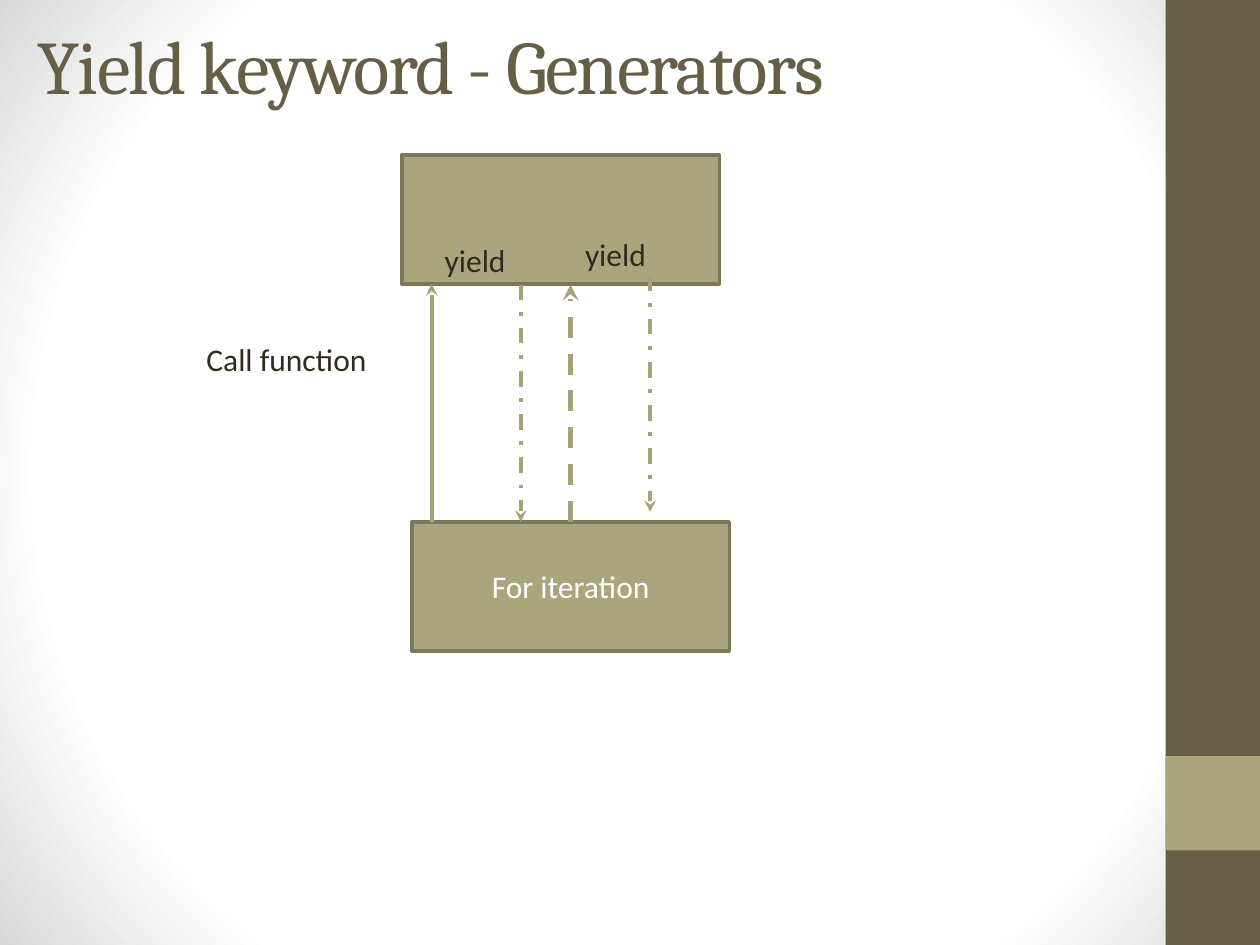
from dataclasses import dataclass

from lxml import etree
from pptx import Presentation
from pptx import util as u
from pptx.dml.color import RGBColor
from pptx.enum import dml, shapes, text
from pptx.oxml import parse_xml
from pptx.oxml.ns import nsdecls, qn

DARK, OLIVE, EDGE = "675E47", "A9A57C", "7B785A"
ARROW, INK, WHITE, GREY = "A6A177", "2F2B20", "FFFFFF", "D8D8D8"
DASH, DASH_DOT = dml.MSO_LINE.DASH, dml.MSO_LINE.DASH_DOT


def color(value):
    return RGBColor.from_string(value)


def apply(target, values):
    for name, value in values.items():
        setattr(target, name, value)


@dataclass
class Drawing:
    slide: object
    body_font: str = "Calibri"
    title_font: str = "Cambria"
    body_size: float = 18

    def background(self, stops):
        """Radial gradient from (percent, colour) stops."""
        marks = "".join(f'<a:gs pos="{percent * 1000}"><a:srgbClr val="{color(value)}"/></a:gs>'
                        for percent, value in stops)
        self.slide.element.cSld.insert(0, parse_xml(
            f'<p:bg {nsdecls("p", "a")}><p:bgPr><a:gradFill rotWithShape="1">'
            f'<a:gsLst>{marks}</a:gsLst><a:path path="circle">'
            '<a:fillToRect l="50000" t="50000" r="50000" b="50000"/></a:path>'
            '</a:gradFill><a:effectLst/></p:bgPr></p:bg>'))

    def add_text(self, shape, words, ink, anchor, align, **font_format):
        frame = shape.text_frame
        apply(frame, {"word_wrap": True, "vertical_anchor": anchor})
        paragraph = frame.paragraphs[0]
        paragraph.alignment = align
        run = paragraph.add_run()
        run.text = words
        apply(run.font, {"name": self.body_font, "size": u.Pt(self.body_size), **font_format})
        run.font.color.rgb = color(ink)
        return run

    def box(self, left, top, width, height, fill, edge=None, words=None):
        shape = self.slide.shapes.add_shape(
            shapes.MSO_SHAPE.RECTANGLE, *map(u.Pt, (left, top, width, height)))
        shape.shadow.inherit = False
        shape.fill.solid()
        shape.fill.fore_color.rgb = color(fill)
        if edge:
            shape.line.color.rgb = color(edge)
            shape.line.width = u.Pt(2)
        else:
            shape.line.fill.background()
        if words:
            self.add_text(shape, words, WHITE, text.MSO_ANCHOR.MIDDLE, text.PP_ALIGN.CENTER)

    def text_box(self, left, top, width, height):
        return self.slide.shapes.add_textbox(*map(u.Pt, (left, top, width, height)))

    def title(self, left, top, width, height, words):
        run = self.add_text(self.text_box(left, top, width, height), words, DARK,
                            text.MSO_ANCHOR.BOTTOM, text.PP_ALIGN.LEFT,
                            name=self.title_font, size=u.Pt(43.2))
        # Tighten the letters by one point
        run._r.get_or_add_rPr().set("spc", "-100")

    def label(self, left, top, width, words):
        self.add_text(self.text_box(left, top, width, 29), words, INK,
                      text.MSO_ANCHOR.TOP, text.PP_ALIGN.LEFT)

    def arrow(self, x, start, end, width=2.25, dash=None):
        """Vertical arrow with its head at the end."""
        connector = self.slide.shapes.add_connector(
            shapes.MSO_CONNECTOR.STRAIGHT, *map(u.Pt, (x, start, x, end)))
        line = connector.line
        line.color.rgb = color(ARROW)
        apply(line, {"width": u.Pt(width), "dash_style": dash})
        properties = connector.element.spPr
        etree.SubElement(properties.find(qn("a:ln")), qn("a:tailEnd"), type="stealth")
        etree.SubElement(properties, qn("a:effectLst"))


def main():
    presentation = Presentation()
    apply(presentation, {"slide_width": u.Pt(720), "slide_height": u.Pt(540)})
    drawing = Drawing(presentation.slides.add_slide(presentation.slide_layouts[6]))

    # Background and side bar
    drawing.background([(0, WHITE), (75, WHITE), (100, GREY)])
    drawing.box(666, 0, 54, 540, DARK)
    drawing.box(666, 432, 54, 54, OLIVE)

    drawing.title(14.4, 9.4, 680.4, 56.9, "Yield keyword - Generators")

    # Generator function above, loop below
    drawing.box(229.7, 88.5, 181.4, 73.8, OLIVE, EDGE)
    drawing.box(235.4, 298.2, 181.4, 73.8, OLIVE, EDGE, "For iteration")

    # Call, yield, resume, yield
    drawing.arrow(246.7, 298.2, 162.3)
    drawing.label(110.9, 190.8, 124.6, "Call function")
    drawing.label(247, 133.9, 51.1, "yield")
    drawing.arrow(297.6, 162.7, 298.2, dash=DASH_DOT)
    drawing.arrow(326, 298.2, 162.7, 3, DASH)
    drawing.label(327.2, 131, 51.1, "yield")
    drawing.arrow(371.5, 157.5, 292.5, dash=DASH_DOT)

    presentation.save("out.pptx")


if __name__ == "__main__":
    main()
